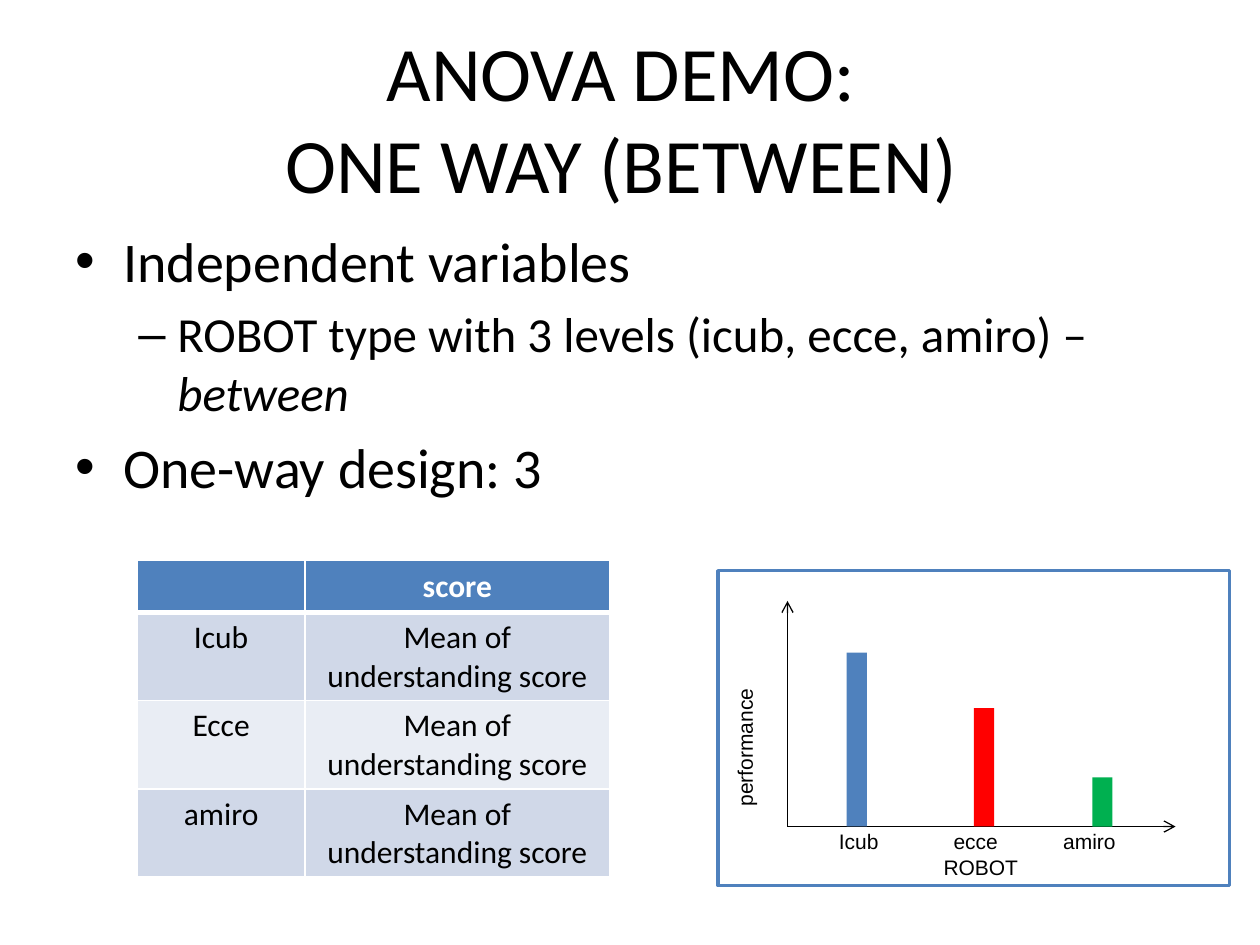
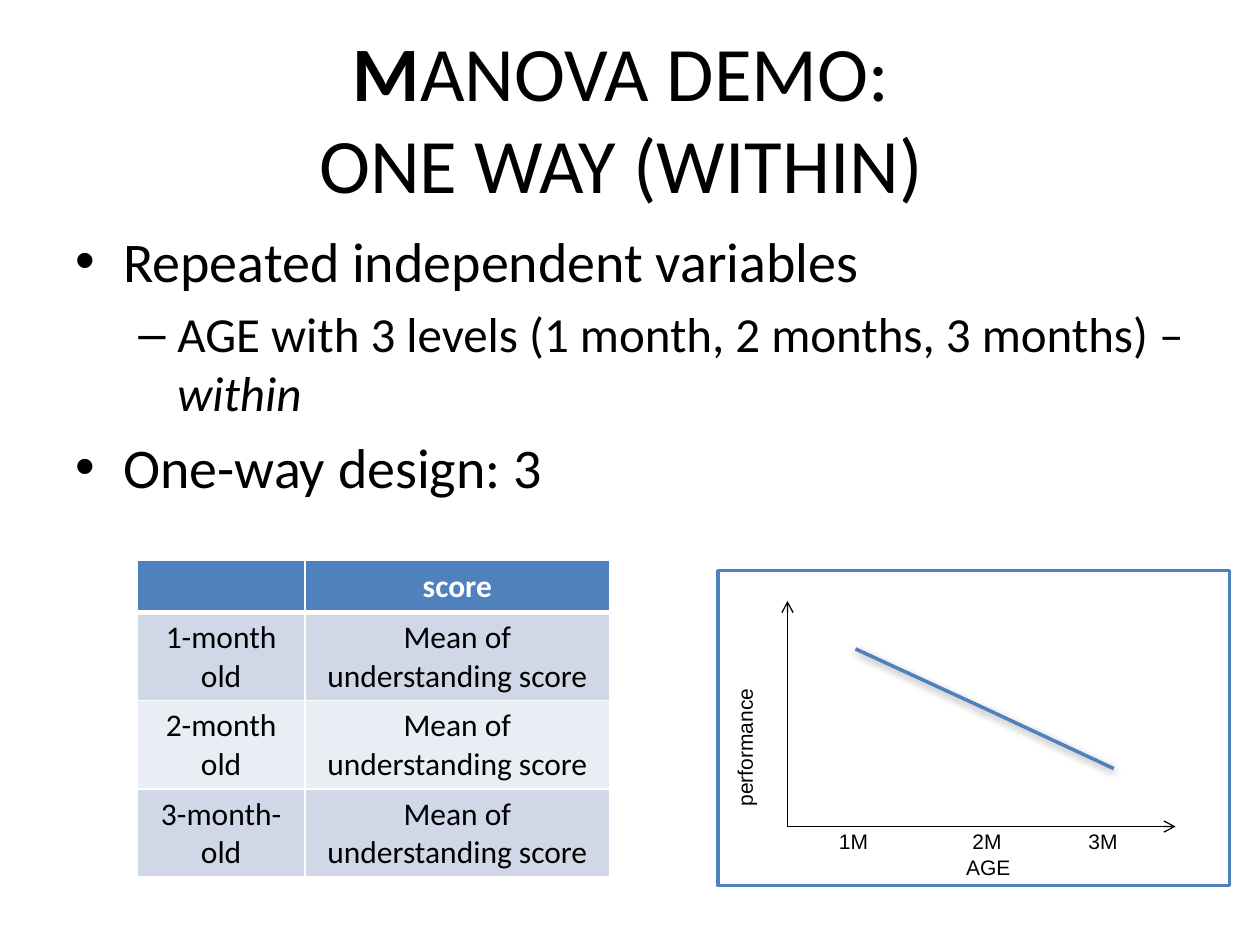
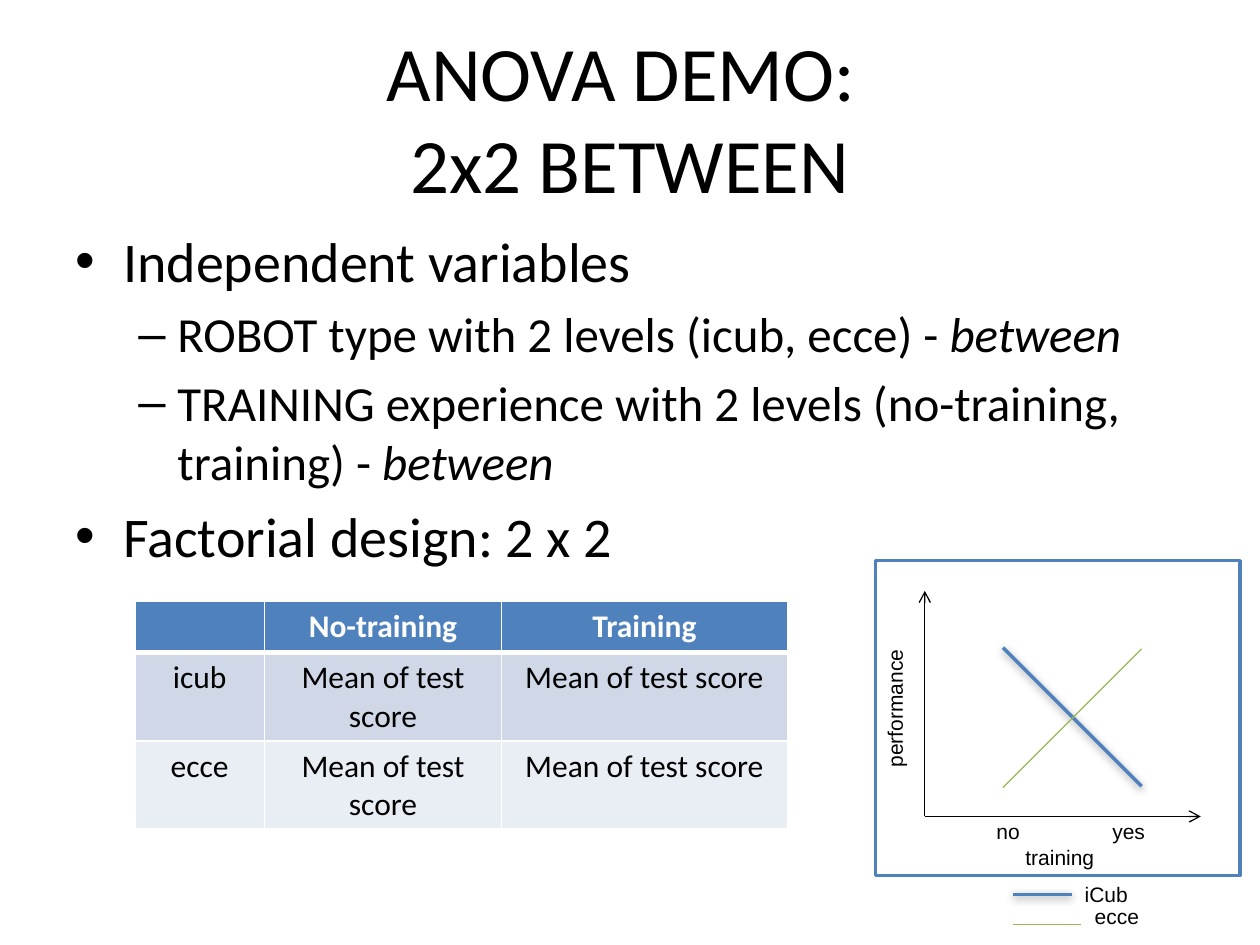
from lxml import etree
from pptx import Presentation
from pptx.dml.color import RGBColor
from pptx.enum.shapes import MSO_CONNECTOR, MSO_SHAPE
from pptx.enum.text import MSO_ANCHOR, PP_ALIGN
from pptx.oxml.ns import qn
from pptx.util import Inches, Pt

STRAIGHT = MSO_CONNECTOR.STRAIGHT
RECTANGLE = MSO_SHAPE.RECTANGLE
CENTER = PP_ALIGN.CENTER
MIDDLE = MSO_ANCHOR.MIDDLE

BLACK = RGBColor(0x00, 0x00, 0x00)
WHITE = RGBColor(0xFF, 0xFF, 0xFF)
BLUE = RGBColor(0x4F, 0x81, 0xBD)
RED = RGBColor(0xFF, 0x00, 0x00)
GREEN = RGBColor(0x00, 0xB0, 0x50)
OLIVE = RGBColor(0x98, 0xB9, 0x55)
BAND_DARK = RGBColor(0xD0, 0xD8, 0xE8)
BAND_LIGHT = RGBColor(0xE9, 0xED, 0xF4)

TITLE = dict(name="Calibri", size=Pt(44))
CELL = dict(name="Calibri", size=Pt(18), bold=False)
HEADER = dict(name="Calibri", size=Pt(18), bold=True)
LABEL = dict(name="Arial", size=Pt(12))

BULLETS = [
    dict(char="•", size=32, margin=0.38, indent=-0.38),
    dict(char="–", size=28, margin=0.81, indent=-0.31),
]
PANEL_HEIGHT = 2.5
BAR_WIDTH = 0.16


def sub(parent, tag, **attrs):
    return etree.SubElement(parent, qn(tag), {k: str(v) for k, v in attrs.items()})


def add_run(p, text, style, color=BLACK, **extra):
    r = p.add_run()
    r.text = text
    for key, value in {**style, **extra}.items():
        setattr(r.font, key, value)
    r.font.color.rgb = color


def add_text(s, left, top, width, height, wrap=True):
    sp = s.shapes.add_textbox(Inches(left), Inches(top), Inches(width), Inches(height))
    sp.text_frame.word_wrap = wrap
    return sp


def add_title(s, lines, bold_start=""):
    tf = add_text(s, 0.5, 0.3, 9, 1.25).text_frame
    tf.vertical_anchor = MIDDLE
    p = tf.paragraphs[0]
    p.alignment = CENTER
    if bold_start:
        add_run(p, bold_start, TITLE, bold=True)
    add_run(p, lines[0], TITLE)
    p.add_line_break()
    add_run(p, lines[1], TITLE)


def add_body(s, items, width=9.5):
    tf = add_text(s, 0.5, 1.75, width, 4.95).text_frame
    for i, (level, text, italic_end) in enumerate(items):
        p = tf.add_paragraph() if i else tf.paragraphs[0]
        bullet = BULLETS[level]
        p.level = level
        pPr = p._p.get_or_add_pPr()
        pPr.set("marL", str(Inches(bullet["margin"])))
        pPr.set("indent", str(Inches(bullet["indent"])))
        sub(pPr, "a:buFont", typeface="Arial")
        sub(pPr, "a:buChar", char=bullet["char"])
        if i:
            p.space_before = Pt(bullet["size"] * 0.2)
        style = dict(name="Calibri", size=Pt(bullet["size"]))
        add_run(p, text, style)
        if italic_end:
            add_run(p, italic_end, style, italic=True)


def add_rect(s, left, top, width, height, fill, line=None):
    sp = s.shapes.add_shape(RECTANGLE, Inches(left), Inches(top), Inches(width), Inches(height))
    sp.shadow.inherit = False
    sp.fill.solid()
    sp.fill.fore_color.rgb = fill
    if line is None:
        sp.line.fill.background()
    else:
        sp.line.color.rgb = line
        sp.line.width = Pt(2)


def add_line(s, start, end, color=BLACK, width=0.75, arrow=False, shadow=False):
    cn = s.shapes.add_connector(STRAIGHT, *map(Inches, start + end))
    cn.line.color.rgb = color
    cn.line.width = Pt(width)
    if arrow:
        sub(cn.line._get_or_add_ln(), "a:tailEnd", type="arrow")
    effects = sub(cn._element.spPr, "a:effectLst")
    if shadow:
        outer = sub(effects, "a:outerShdw", blurRad=Pt(5), dist=Pt(1.6), dir=5400000, rotWithShape=0)
        sub(sub(outer, "a:srgbClr", val=BLACK), "a:alpha", val=38000)


def add_trend(s, start, end):
    add_line(s, start, end, BLUE, 2, shadow=True)


def add_label(s, left, top, width, text, rotation=0):
    sp = add_text(s, left, top, width, 0.3, wrap=False)
    sp.rotation = rotation
    add_run(sp.text_frame.paragraphs[0], text, LABEL)


def add_axis_labels(s, left, top, width, levels, tabs, factor, factor_margin):
    tf = add_text(s, left, top, width, 0.5).text_frame
    p = tf.paragraphs[0]
    tab_list = sub(p._p.get_or_add_pPr(), "a:tabLst")
    for tab in tabs:
        sub(tab_list, "a:tab", pos=Inches(tab), algn="l")
    add_run(p, "\t".join(levels), LABEL)
    p = tf.add_paragraph()
    p._p.get_or_add_pPr().set("marL", str(Inches(factor_margin)))
    add_run(p, factor, LABEL)


def add_panel(s, left, top, width, origin_x, x_end, performance_at):
    axis_y = top + 2.03
    add_rect(s, left, top, width, PANEL_HEIGHT, WHITE, BLUE)
    add_line(s, (origin_x, axis_y), (origin_x, top + 0.24), arrow=True)
    add_line(s, (origin_x, axis_y), (x_end, axis_y), arrow=True)
    add_label(s, *performance_at, 1.14, "performance", rotation=270)


def add_wide_panel(s, levels, tabs, factor, factor_margin):
    add_panel(s, 5.7, 4.53, 4.06, 6.25, 9.33, (5.34, 5.78))
    add_axis_labels(s, 6.56, 6.53, 3.05, levels, tabs, factor, factor_margin)


def add_borders(cell, top, bottom):
    tcPr = cell._tc.get_or_add_tcPr()
    for tag, width in (("a:lnL", 1), ("a:lnR", 1), ("a:lnT", top), ("a:lnB", bottom)):
        ln = sub(tcPr, tag, w=Pt(width))
        sub(sub(ln, "a:solidFill"), "a:srgbClr", val=WHITE)


def add_score_table(s, left, top, widths, rows):
    heights = [0.41] + [0.7] * (len(rows) - 1)
    table = s.shapes.add_table(len(rows), len(widths), Inches(left), Inches(top),
                               Inches(sum(widths)), Inches(sum(heights))).table
    for column, width in zip(table.columns, widths):
        column.width = Inches(width)
    for i, (row, height) in enumerate(zip(rows, heights)):
        table.rows[i].height = Inches(height)
        fill = BLUE if i == 0 else BAND_DARK if i % 2 else BAND_LIGHT
        for j, text in enumerate(row):
            cell = table.cell(i, j)
            add_borders(cell, top=3 if i == 1 else 1, bottom=3 if i == 0 else 1)
            cell.fill.solid()
            cell.fill.fore_color.rgb = fill
            p = cell.text_frame.paragraphs[0]
            p.alignment = CENTER
            if text:
                add_run(p, text, CELL if i else HEADER, BLACK if i else WHITE)


def add_one_way_table(s, levels):
    rows = [("", "score")] + [(level, "Mean of understanding score") for level in levels]
    add_score_table(s, 1.09, 4.45, [1.33, 2.42], rows)


def build_between(s):
    add_title(s, ("ANOVA DEMO: ", "ONE WAY (BETWEEN) "))
    add_body(s, [
        (0, "Independent variables", ""),
        (1, "ROBOT type with 3 levels (icub, ecce, amiro) – ", "between"),
        (0, "One-way design: 3", ""),
    ])
    add_wide_panel(s, ("Icub", "ecce", "amiro"), (0.91, 1.78), "ROBOT", 0.83)
    add_one_way_table(s, ("Icub", "Ecce", "amiro"))
    for left, height, color in ((6.72, 1.38, BLUE), (7.73, 0.94, RED), (8.67, 0.39, GREEN)):
        add_rect(s, left, 6.56 - height, BAR_WIDTH, height, color)


def build_within(s):
    add_title(s, ("ANOVA DEMO: ", "ONE WAY (WITHIN) "), bold_start="M")
    add_body(s, [
        (0, "Repeated independent variables", ""),
        (1, "AGE with 3 levels (1 month, 2 months, 3 months) – ", "within"),
        (0, "One-way design: 3", ""),
    ])
    add_wide_panel(s, ("1M", "2M", "3M"), (1.06, 1.98), "AGE", 1.01)
    add_one_way_table(s, ("1-month old", "2-month old", "3-month-old"))
    points = [(6.79, 5.15), (7.81, 5.62), (8.84, 6.1)]
    for start, end in zip(points, points[1:]):
        add_trend(s, start, end)


def build_factorial(s):
    add_title(s, ("ANOVA DEMO: ", "2x2 BETWEEN"))
    add_body(s, [
        (0, "Independent variables", ""),
        (1, "ROBOT type with 2 levels (icub, ecce) - ", "between"),
        (1, "TRAINING experience with 2 levels (no-training, training) - ", "between"),
        (0, "Factorial design: 2 x 2", ""),
    ], width=9)
    add_panel(s, 6.95, 4.45, 2.89, 7.34, 9.53, (6.53, 5.47))
    add_axis_labels(s, 7.81, 6.45, 1.41, ("no", "yes"), (0.92,), "training", 0.23)
    add_trend(s, (8.04, 7.1), (8.51, 7.1))
    add_line(s, (8.04, 7.34), (8.58, 7.34), OLIVE)
    add_label(s, 8.51, 6.95, 0.55, "iCub")
    add_label(s, 8.59, 7.12, 0.56, "ecce")
    scores = ("Mean of test score",) * 2
    add_score_table(s, 1.07, 4.77, [1.03, 1.88, 2.27], [
        ("", "No-training", "Training"),
        ("icub", *scores),
        ("ecce", *scores),
    ])
    add_trend(s, (7.96, 5.14), (9.06, 6.24))
    add_line(s, (9.06, 5.15), (7.96, 6.25), OLIVE)


def main():
    prs = Presentation()
    prs.slide_width = Inches(10)
    prs.slide_height = Inches(7.5)
    for build in (build_between, build_within, build_factorial):
        build(prs.slides.add_slide(prs.slide_layouts[6]))
    prs.save("out.pptx")


if __name__ == "__main__":
    main()
